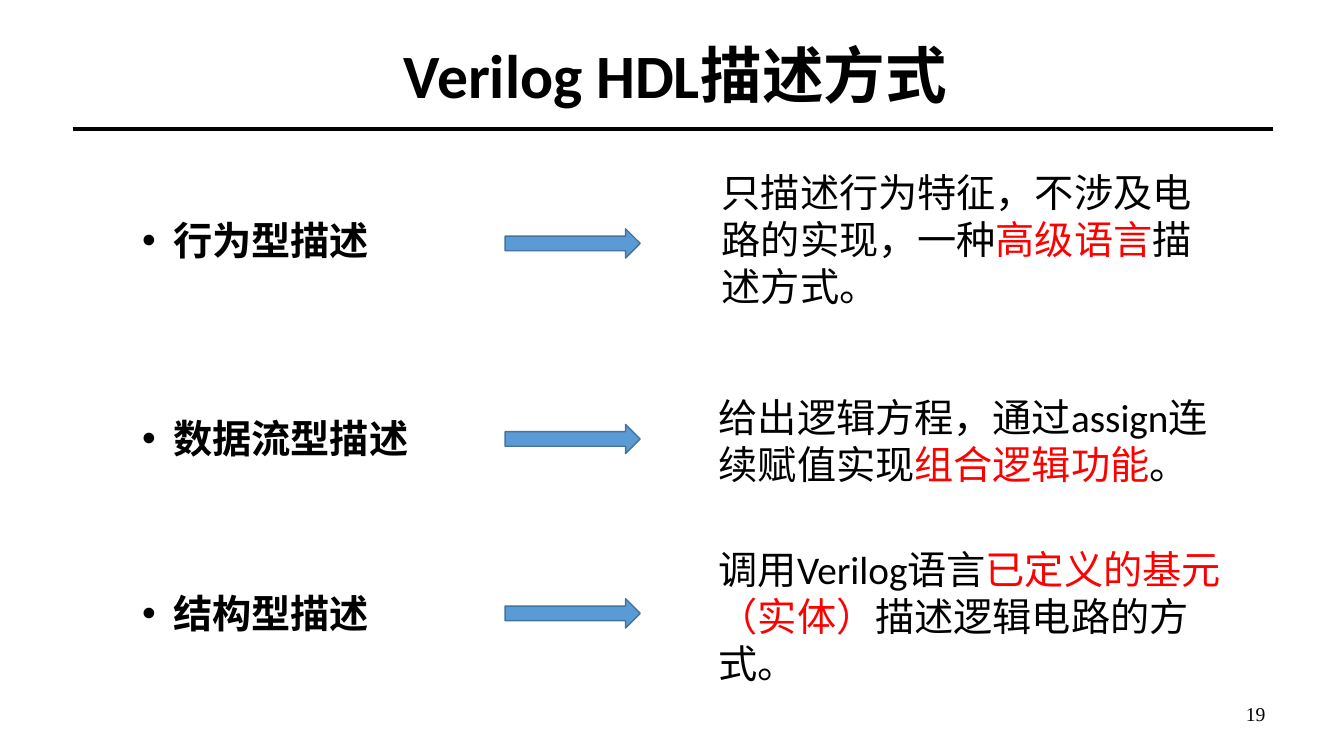
"""Builds the slide on the three Verilog HDL description styles."""
from lxml.etree import SubElement
from pptx import Presentation
from pptx.dml.color import RGBColor
from pptx.enum.lang import MSO_LANGUAGE_ID
from pptx.enum.shapes import MSO_CONNECTOR, MSO_SHAPE
from pptx.enum.text import MSO_ANCHOR, MSO_AUTO_SIZE, PP_ALIGN
from pptx.oxml.ns import qn
from pptx.util import Pt

EMU_PER_PX = 9144
COLORS = {"ink": "000000", "accent": "FF0000", "arrow": "5B9BD5", "arrow_edge": "43739E"}

BODY = {"size": Pt(28), "name": "Calibri", "bold": False,
        "language_id": MSO_LANGUAGE_ID.SIMPLIFIED_CHINESE}
LABEL = {**BODY, "bold": True}
TITLE = {**LABEL, "size": Pt(44)}
PAGE = {"size": Pt(14), "name": "Times New Roman"}

TOP_FIT = {"word_wrap": True, "vertical_anchor": MSO_ANCHOR.TOP,
           "auto_size": MSO_AUTO_SIZE.SHAPE_TO_FIT_TEXT}
MIDDLE = {"word_wrap": True, "vertical_anchor": MSO_ANCHOR.MIDDLE,
          "auto_size": MSO_AUTO_SIZE.NONE}

STYLES = [
    {"label": "行为型描述", "label_top": 210, "arrow_top": 227, "box": (706, 162, 518, 151),
     "text": [("只描述行为特征，不涉及电路的实现，一种", "ink"),
              ("高级语言", "accent"), ("描述方式。", "ink")]},
    {"label": "数据流型描述", "label_top": 406, "arrow_top": 421, "box": (703, 385, 518, 104),
     "text": [("给出逻辑方程，通过assign连续赋值实现", "ink"),
              ("组合逻辑功能", "accent"), ("。", "ink")]},
    {"label": "结构型描述", "label_top": 580, "arrow_top": 594, "box": (703, 536, 518, 151),
     "text": [("调用Verilog语言", "ink"),
              ("已定义的基元（实体）", "accent"), ("描述逻辑电路的方式。", "ink")]},
]


def px(*lengths):
    """Turn px lengths into EMU."""
    return [length * EMU_PER_PX for length in lengths]


def rgb(color):
    """Look up a named colour."""
    return RGBColor.from_string(COLORS[color])


def apply(target, values):
    """Set each named attribute on the target."""
    for attribute, value in values.items():
        setattr(target, attribute, value)


def place(holder, left, top, width, height):
    """Move and size a placeholder."""
    apply(holder, dict(zip(("left", "top", "width", "height"), px(left, top, width, height))))


def write(holder, pieces, font, frame, paragraph):
    """Fill one paragraph with coloured runs and return it."""
    apply(holder.text_frame, frame)
    line = holder.text_frame.paragraphs[0]
    apply(line, paragraph)
    for words, color in pieces:
        run = line.add_run()
        run.text = words
        apply(run.font, font)
        run.font.color.rgb = rgb(color)
    return line


def add_bullet(line, indent):
    """Give a paragraph a round bullet with a hanging indent."""
    (hang,) = px(indent)
    properties = line._p.get_or_add_pPr()
    properties.set("marL", str(hang))
    properties.set("indent", str(-hang))
    SubElement(properties, qn("a:buFont")).set("typeface", "Arial")
    SubElement(properties, qn("a:buChar")).set("char", "•")


def add_rule(slide, left, right, y):
    """Draw the heavy line below the title."""
    rule = slide.shapes.add_connector(MSO_CONNECTOR.STRAIGHT, *px(left, y, right, y))
    rule.line.color.rgb = rgb("ink")
    rule.line.width = Pt(3)
    SubElement(rule._element.spPr, qn("a:effectLst"))


def add_arrow(slide, top):
    """Draw the arrow from a label to its description."""
    arrow = slide.shapes.add_shape(MSO_SHAPE.RIGHT_ARROW, *px(501, top, 134, 29))
    arrow.shadow.inherit = False
    arrow.fill.solid()
    arrow.fill.fore_color.rgb = rgb("arrow")
    arrow.line.color.rgb = rgb("arrow_edge")
    arrow.line.width = Pt(1)


def add_label(holder, label, top):
    """Write the bulleted name of a description style."""
    place(holder, 131, top, 346, 57)
    line = write(holder, [(label, "ink")], LABEL, TOP_FIT,
                 {"space_before": Pt(0), "line_spacing": 1.0, "alignment": PP_ALIGN.LEFT})
    add_bullet(line, 31)


def add_text(slide, box, pieces, font, frame, alignment=PP_ALIGN.LEFT):
    """Add a text box with coloured runs."""
    write(slide.shapes.add_textbox(*px(*box)), pieces, font, frame, {"alignment": alignment})


def main():
    """Build and save the slide."""
    deck = Presentation()
    deck.slide_width, deck.slide_height = px(1333, 750)
    slide = deck.slides.add_slide(deck.slide_layouts.get_by_name("Comparison"))
    title, *labels, spare = slide.placeholders
    spare._element.getparent().remove(spare._element)

    add_rule(slide, 72, 1263, 128)
    place(title, 75, 35, 1190, 85)
    write(title, [("Verilog HDL描述方式", "ink")], TITLE, MIDDLE,
          {"alignment": PP_ALIGN.CENTER, "line_spacing": 0.9})
    add_text(slide, (887, 683, 378, 50), [("19", "ink")], PAGE, MIDDLE, PP_ALIGN.RIGHT)

    for holder, style in zip(labels, STYLES):
        add_label(holder, style["label"], style["label_top"])
        add_text(slide, style["box"], style["text"], BODY, TOP_FIT)
        add_arrow(slide, style["arrow_top"])

    deck.save("out.pptx")


if __name__ == "__main__":
    main()
